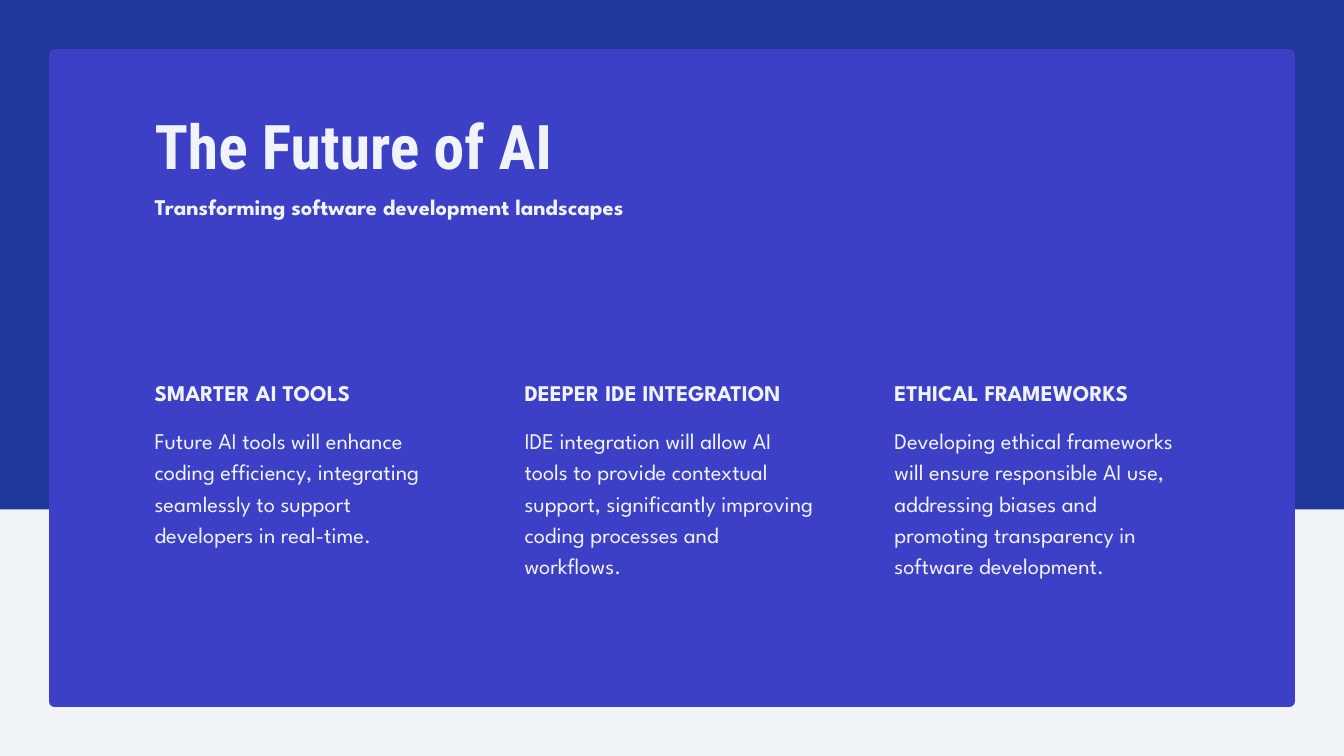
from pptx import Presentation, util as u
from pptx.dml.color import RGBColor
from pptx.enum import shapes, text

# Content
TITLE = "The Future of AI"
SUBTITLE = "Transforming software development landscapes"
TOPICS = [
    ("SMARTER AI TOOLS",
     "Future AI tools will enhance coding efficiency, integrating "
     "seamlessly to support developers in real-time."),
    ("DEEPER IDE INTEGRATION",
     "IDE integration will allow AI tools to provide contextual support, "
     "significantly improving coding processes and workflows."),
    ("ETHICAL FRAMEWORKS",
     "Developing ethical frameworks will ensure responsible AI use, "
     "addressing biases and promoting transparency in software development."),
]

# Colours and fonts
NAVY = RGBColor(0x1E, 0x37, 0x99)
INDIGO = RGBColor(0x3C, 0x40, 0xC6)
PALE = RGBColor(0xF0, 0xF4, 0xF8)
TITLE_FONT, BODY_FONT = "Roboto Condensed", "League Spartan"

# Grid, in inches
WIDTH, HEIGHT = 20, 11.25
BAND_TOP = 7.58
PANEL_MARGIN, PANEL_RADIUS = 0.73, 0.08
TEXT_LEFT = 2.3
TEXT_WIDTH = WIDTH - 2 * TEXT_LEFT
COLUMN_GAP = 1.115
COLUMN_WIDTH = (TEXT_WIDTH - COLUMN_GAP * (len(TOPICS) - 1)) / len(TOPICS)
TITLE_TOP, SUBTITLE_TOP, HEADING_TOP, BODY_TOP = 1.6, 2.81, 5.58, 6.29
LINE_HEIGHT, BODY_HEIGHT = 0.44, 2.73


def add_block(slide, kind, left, top, width, height, color):
    block = slide.shapes.add_shape(
        kind, *(u.Inches(v) for v in (left, top, width, height)))
    block.shadow.inherit = False
    block.fill.solid()
    block.fill.fore_color.rgb = color
    block.line.fill.background()
    return block


def add_text(slide, words, left, top, width, height, *,
             size=24, leading=33.6, font=BODY_FONT, bold=False):
    box = slide.shapes.add_textbox(
        *(u.Inches(v) for v in (left, top, width, height)))
    frame = box.text_frame
    frame.word_wrap = True
    frame.auto_size = text.MSO_AUTO_SIZE.SHAPE_TO_FIT_TEXT
    frame.margin_left = frame.margin_right = 0
    frame.margin_top = frame.margin_bottom = 0
    paragraph = frame.paragraphs[0]
    paragraph.line_spacing = u.Pt(leading)
    run = paragraph.add_run()
    run.text = words
    run.font.size = u.Pt(size)
    run.font.name = font
    run.font.bold = bold
    run.font.color.rgb = PALE


def main():
    deck = Presentation()
    deck.slide_width, deck.slide_height = u.Inches(WIDTH), u.Inches(HEIGHT)
    slide = deck.slides.add_slide(deck.slide_layouts[6])

    # Background, lower band and panel
    slide.background.fill.solid()
    slide.background.fill.fore_color.rgb = NAVY
    add_block(slide, shapes.MSO_SHAPE.RECTANGLE,
              0, BAND_TOP, WIDTH, HEIGHT - BAND_TOP, PALE)
    panel_height = HEIGHT - 2 * PANEL_MARGIN
    panel = add_block(slide, shapes.MSO_SHAPE.ROUNDED_RECTANGLE,
                      PANEL_MARGIN, PANEL_MARGIN,
                      WIDTH - 2 * PANEL_MARGIN, panel_height, INDIGO)
    panel.adjustments[0] = PANEL_RADIUS / panel_height

    # Title and subtitle
    add_text(slide, TITLE, TEXT_LEFT, TITLE_TOP, TEXT_WIDTH, 1.2,
             size=66, leading=79.2, font=TITLE_FONT, bold=True)
    add_text(slide, SUBTITLE, TEXT_LEFT, SUBTITLE_TOP, TEXT_WIDTH,
             LINE_HEIGHT, bold=True)

    # Topic columns
    for column, (heading, body) in enumerate(TOPICS):
        left = TEXT_LEFT + column * (COLUMN_WIDTH + COLUMN_GAP)
        add_text(slide, heading, left, HEADING_TOP, COLUMN_WIDTH,
                 LINE_HEIGHT, bold=True)
        add_text(slide, body, left, BODY_TOP, COLUMN_WIDTH, BODY_HEIGHT)

    deck.save("out.pptx")


if __name__ == "__main__":
    main()
